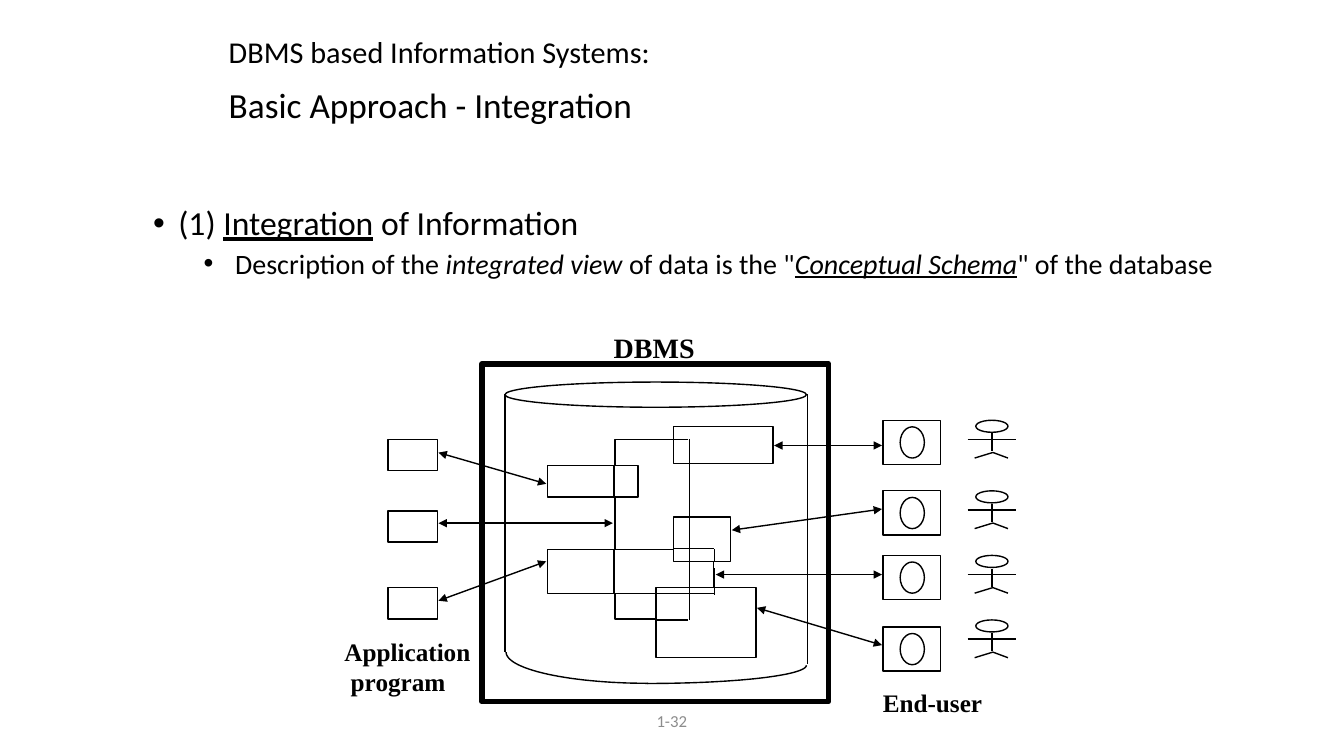
"""Build the slide on integration of information in a DBMS."""
import copy
import math

import lxml.etree
import pptx
import pptx.dml.color
import pptx.enum.shapes
import pptx.enum.text
import pptx.oxml.ns
import pptx.util

Pt = pptx.util.Pt
SHAPE = pptx.enum.shapes.MSO_SHAPE
ALIGN = pptx.enum.text.PP_ALIGN
ANCHOR = pptx.enum.text.MSO_ANCHOR
BLACK = pptx.dml.color.RGBColor(0x00, 0x00, 0x00)
WHITE = pptx.dml.color.RGBColor(0xFF, 0xFF, 0xFF)
GRAY = pptx.dml.color.RGBColor(0x8C, 0x8C, 0x8C)

PROGRAM_TOPS = (313.9, 365, 419.8)
TERMINAL_TOPS = (300.2, 350.6, 396.7, 447.8)
USER_TOPS = (300.2, 350.6, 396.7, 442.8)
VIEWS = (
    ((391, 332.6, 64.8, 22.3), [(438.5, 332.6, 438.5, 355)]),
    ((391, 392.4, 118.8, 31.7),
     [(438.5, 392.4, 438.5, 424.1), (492.5, 392.4, 492.5, 414.7)]),
    ((481, 369.4, 41, 31.7),
     [(481, 391.7, 509.8, 391.7), (510.5, 392.4, 510.5, 401),
      (492.5, 369.4, 492.5, 401)]),
    ((468.7, 419.8, 71.3, 49.7),
     [(468.7, 424.1, 509.8, 424.1), (510.5, 424.8, 510.5, 405.4),
      (468.7, 442.8, 491.8, 442.8), (492.5, 442.8, 492.5, 405.4)]),
    ((481, 304.6, 71.3, 26.6),
     [(481, 313.9, 491.8, 313.9), (492.5, 313.9, 492.5, 331.9)]),
)
ACCESSES = (
    (313.2, 323.3, 390.2, 345.6), (313.2, 373.7, 437.8, 373.7),
    (313.2, 429.1, 390.2, 401), (553, 318.2, 630, 318.2),
    (522.7, 378.7, 630, 363.6), (511.2, 410.4, 630, 410.4),
    (540.7, 434.2, 630, 460.8),
)


def add_outline(slide, preset, left, top, width, height, weight=1):
    """Add a white preset shape with a black outline."""
    outline = slide.shapes.add_shape(preset, Pt(left), Pt(top), Pt(width), Pt(height))
    outline.shadow.inherit = False
    outline.fill.solid()
    outline.fill.fore_color.rgb = WHITE
    outline.line.color.rgb = BLACK
    outline.line.width = Pt(weight)


def add_line(slide, x1, y1, x2, y2, arrows=False):
    """Add a thin black line, with an arrowhead at both ends on request."""
    line = slide.shapes.add_connector(
        pptx.enum.shapes.MSO_CONNECTOR.STRAIGHT, Pt(x1), Pt(y1), Pt(x2), Pt(y2))
    line.line.color.rgb = BLACK
    line.line.width = Pt(1)
    if arrows:
        stroke = line.line._get_or_add_ln()
        for end in ("a:headEnd", "a:tailEnd"):
            lxml.etree.SubElement(stroke, pptx.oxml.ns.qn(end), type="triangle")
    lxml.etree.SubElement(line._element.spPr, pptx.oxml.ns.qn("a:effectLst"))


def add_quarter_arc(slide, center_x, center_y, radius_x, radius_y, start):
    """Add an open quarter of an ellipse that begins at the given angle."""
    angles = [math.radians(start + step * 3) for step in range(31)]
    points = [(Pt(center_x + radius_x * math.cos(angle)),
               Pt(center_y + radius_y * math.sin(angle))) for angle in angles]
    builder = slide.shapes.build_freeform(*points[0])
    builder.add_line_segments(points[1:], close=False)
    arc = builder.convert_to_shape()
    arc.shadow.inherit = False
    arc.fill.background()
    arc.line.color.rgb = BLACK
    arc.line.width = Pt(1)


def format_run(run, size, font="Calibri", color=BLACK, **styles):
    """Set the font, size, colour and styles of a run."""
    run.font.name = font
    run.font.size = Pt(size)
    run.font.color.rgb = color
    for style, value in styles.items():
        setattr(run.font, style, value)


def add_label(slide, text, left, top, width, height, size, **look):
    """Add an unwrapped text box and return its text frame."""
    frame = slide.shapes.add_textbox(Pt(left), Pt(top), Pt(width), Pt(height)).text_frame
    frame.word_wrap = False
    frame.text = text
    for paragraph in frame.paragraphs:
        for run in paragraph.runs:
            format_run(run, size, **look)
    return frame


def place(placeholder, left, top, width, height):
    """Move a placeholder and return its text frame."""
    placeholder.left, placeholder.top = Pt(left), Pt(top)
    placeholder.width, placeholder.height = Pt(width), Pt(height)
    frame = placeholder.text_frame
    frame.word_wrap = True
    frame.auto_size = pptx.enum.text.MSO_AUTO_SIZE.NONE
    return frame


def fill_title(title):
    """Write the two-line title."""
    frame = place(title, 156.2, 30.2, 635.8, 59.8)
    frame.vertical_anchor = ANCHOR.MIDDLE
    heading = frame.paragraphs[0]
    heading.text = "DBMS based Information Systems: \vBasic Approach - Integration"
    heading.add_run().text = " "
    heading.alignment = ALIGN.LEFT
    heading.line_spacing = 0.9
    for run, size in zip(heading.runs, (21.6, 25.2, 39.6)):
        format_run(run, size)
    line_break = heading._p.find(pptx.oxml.ns.qn("a:br"))
    line_break.append(copy.deepcopy(heading.runs[0]._r.rPr))


def add_bullet(paragraph, level, margin, size, pieces):
    """Write one bulleted paragraph from pieces of text and their styles."""
    paragraph.level = level
    paragraph.line_spacing = 0.9
    paragraph.space_before = Pt(5)
    properties = paragraph._p.get_or_add_pPr()
    properties.set("marL", str(Pt(margin)))
    properties.set("indent", str(Pt(-18)))
    lxml.etree.SubElement(properties, pptx.oxml.ns.qn("a:buFont"), typeface="Arial")
    lxml.etree.SubElement(properties, pptx.oxml.ns.qn("a:buChar"), char="•")
    for text, styles in pieces:
        run = paragraph.add_run()
        run.text = text
        format_run(run, size, **styles)


def fill_body(body):
    """Write the two list levels."""
    frame = place(body, 66.2, 144, 828, 342.7)
    add_bullet(frame.paragraphs[0], 1, 54, 24, [
        ("(1) ", {}), ("Integration", {"underline": True}), (" of Information", {})])
    add_bullet(frame.add_paragraph(), 2, 90, 20, [
        (" Description of the ", {}),
        ("integrated view ", {"italic": True}),
        ("of data is the \"", {}),
        ("Conceptual Schema", {"italic": True, "underline": True}),
        ("\" of the database", {})])


def draw_database(slide):
    """Draw the DBMS frame, the overlapping views and the cylinder."""
    add_outline(slide, SHAPE.RECTANGLE, 344.2, 259.9, 247.7, 241.2, weight=4)
    add_outline(slide, SHAPE.RECTANGLE, 439.2, 313.9, 53.3, 128.2)
    for box, overlap_edges in VIEWS:
        add_outline(slide, SHAPE.RECTANGLE, *box)
        for edge in overlap_edges:
            add_line(slide, *edge)
    add_outline(slide, SHAPE.OVAL, 360.7, 272.9, 215.3, 18)
    add_quarter_arc(slide, 462.2, 475.2, 113.8, 13, 0)
    add_quarter_arc(slide, 463, 465.8, 101.5, 22.3, 90)
    add_line(slide, 360.7, 281.5, 360.7, 465.8)
    add_line(slide, 576.7, 281.5, 576.7, 474.5)


def draw_terminal(slide, top):
    """Draw a terminal with its round screen."""
    add_outline(slide, SHAPE.RECTANGLE, 630.7, top, 41, 31.7)
    add_outline(slide, SHAPE.OVAL, 643, top + 4.7, 17.3, 22.3)


def draw_user(slide, top):
    """Draw a stick figure."""
    add_outline(slide, SHAPE.OVAL, 697, top, 23, 8.6)
    add_line(slide, 691.2, top + 13.7, 725.8, top + 13.7)
    add_line(slide, 708.5, top + 9.4, 708.5, top + 22.3)
    for foot in (696.2, 720):
        add_line(slide, 709.2, top + 23, foot, top + 27)


def main():
    """Build and save the slide."""
    deck = pptx.Presentation()
    deck.slide_width, deck.slide_height = Pt(960), Pt(540)
    slide = deck.slides.add_slide(deck.slide_layouts[1])
    fill_title(slide.shapes.title)
    fill_body(slide.placeholders[1])
    page = add_label(slide, "1-32", 365.8, 500.4, 228.2, 28.8, 12, color=GRAY)
    page.word_wrap = True
    page.vertical_anchor = ANCHOR.MIDDLE
    page.paragraphs[0].alignment = ALIGN.CENTER
    draw_database(slide)
    for top in PROGRAM_TOPS:
        add_outline(slide, SHAPE.RECTANGLE, 277.2, top, 35.3, 22.3)
    for top in TERMINAL_TOPS:
        draw_terminal(slide, top)
    for top in USER_TOPS:
        draw_user(slide, top)
    for access in ACCESSES:
        add_line(slide, *access, arrows=True)
    serif = {"font": "Times New Roman", "bold": True}
    add_label(slide, "Application\n program", 239, 450.7, 105.1, 50.4, 18, **serif)
    add_label(slide, "End-user", 623.5, 487.4, 86.4, 28.8, 18, **serif)
    add_label(slide, "DBMS", 431.3, 232.6, 72.7, 31, 20, **serif)
    deck.save("out.pptx")


if __name__ == "__main__":
    main()
